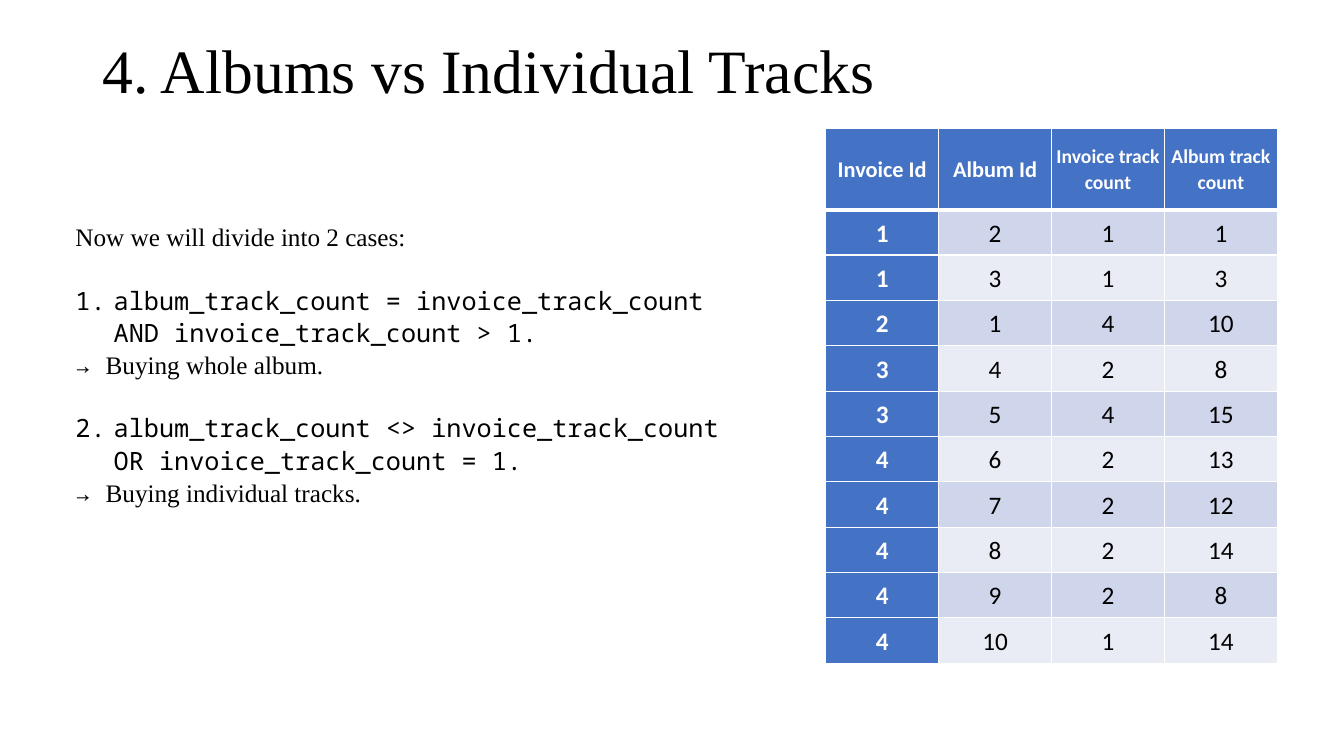
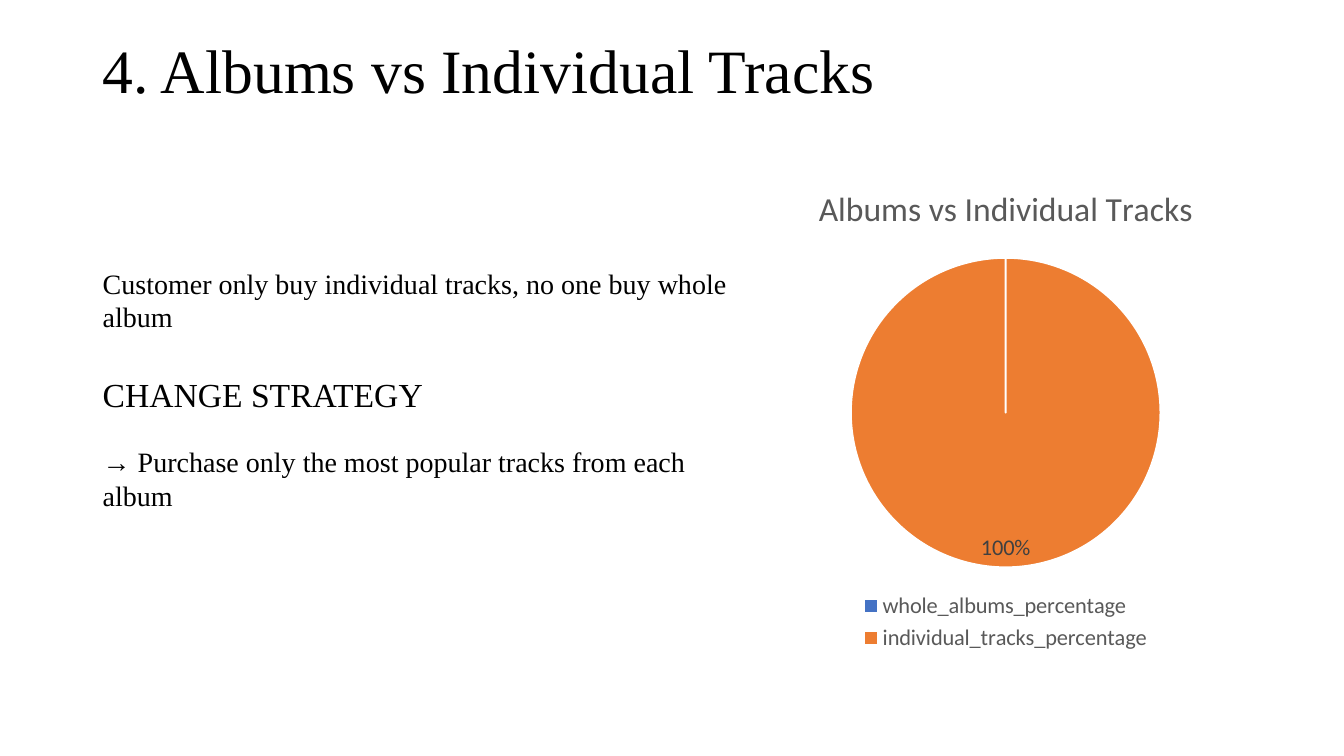
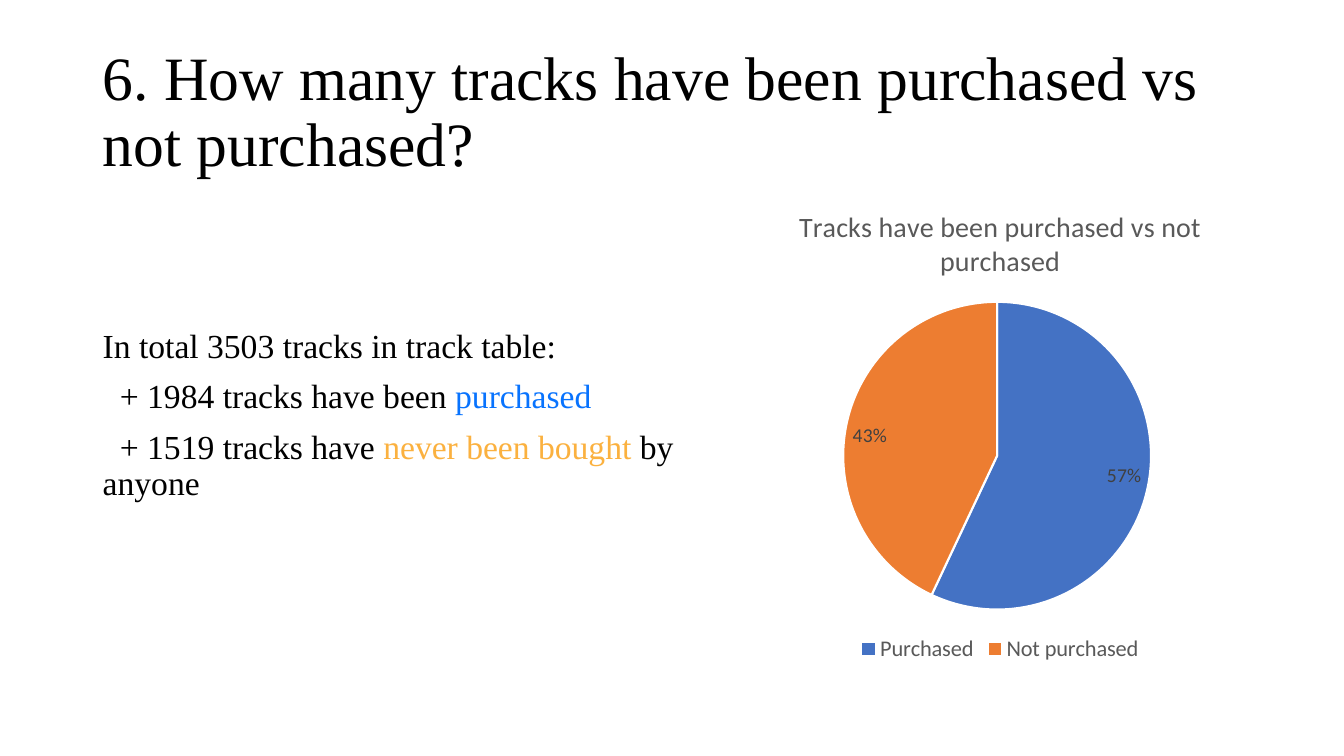
import pptx
import pptx.chart.data
import pptx.dml.color
import pptx.enum.chart
import pptx.enum.text
import pptx.oxml
import pptx.oxml.ns
import pptx.util

Inches, Pt = pptx.util.Inches, pptx.util.Pt
RGB = pptx.dml.color.RGBColor
MIDDLE = pptx.enum.text.MSO_ANCHOR.MIDDLE
CENTER = pptx.enum.text.PP_ALIGN.CENTER

BLACK = RGB(0x00, 0x00, 0x00)
WHITE = RGB(0xFF, 0xFF, 0xFF)
BLUE = RGB(0x44, 0x72, 0xC4)
ORANGE = RGB(0xED, 0x7D, 0x31)
DARK_BAND = RGB(0xCF, 0xD5, 0xEA)
PALE_BAND = RGB(0xE9, 0xEB, 0xF5)
GRAY = RGB(0x59, 0x59, 0x59)
DARK_GRAY = RGB(0x40, 0x40, 0x40)
BRIGHT = RGB(0x08, 0x73, 0xFE)
AMBER = RGB(0xFB, 0xB1, 0x3F)

SERIF, MONO, SANS = "Times New Roman", "Noto Sans Mono", "Calibri"

# A run is (text, options); a paragraph is (runs, options).
CASES = [
    ([("Now we will divide into 2 cases:", {})], {}),
    ([("album_track_count = invoice_track_count AND invoice_track_count > 1.",
       {"face": MONO})], {"before": 22, "number": 1}),
    ([("→ ", {"face": MONO}), ("Buying whole album.", {})], {}),
    ([("album_track_count <> invoice_track_count OR invoice_track_count = 1.",
       {"face": MONO})], {"before": 22, "number": 2}),
    ([("→ ", {"face": MONO}), ("Buying individual tracks.", {})], {}),
]
STRATEGY = [
    ([("Customer only buy individual tracks, no one buy whole album", {})], {}),
    ([("CHANGE STRATEGY", {"size": 24})], {"before": 29}),
    ([("→ Purchase only the most popular tracks from each album", {})],
     {"before": 22}),
]
TOTALS = [
    ([("In total 3503 tracks in track table:", {})], {}),
    ([("+ 1984 tracks have been ", {}), ("purchased", {"color": BRIGHT})],
     {"before": 10, "indent": 0.17}),
    ([("+ 1519 tracks have ", {}), ("never been bought", {"color": AMBER}),
      (" by anyone", {})], {"before": 10, "indent": 0.17}),
]

HEADS = [("Invoice Id", 16), ("Album Id", 16),
         ("Invoice track count", 14), ("Album track count", 14)]
ROWS = [
    (1, 2, 1, 1), (1, 3, 1, 3), (2, 1, 4, 10), (3, 4, 2, 8), (3, 5, 4, 15),
    (4, 6, 2, 13), (4, 7, 2, 12), (4, 8, 2, 14), (4, 9, 2, 8), (4, 10, 1, 14),
]

ALBUM_PIE = {
    "title": "Albums vs Individual Tracks", "size": 24,
    "series": "Albums vs Individual Tracks",
    "shares": {"whole_albums_percentage": 0, "individual_tracks_percentage": 1},
    "label": 16, "show": "show_value", "plot": (0.21, 0.19, 0.58, 0.63),
}
TRACK_PIE = {
    "title": "Tracks have been purchased vs not purchased", "size": 20,
    "series": "Series 1",
    "shares": {"Purchased": 57, "Not purchased": 43},
    "label": 14, "show": "show_percentage", "plot": (0.24, 0.24, 0.51, 0.64),
}


def style(font, size, face, color, bold=False):
    font.size, font.name, font.bold = Pt(size), face, bold
    font.color.rgb = color


def add_run(para, text, size, face=SERIF, color=BLACK, bold=False):
    run = para.add_run()
    run.text = text
    style(run.font, size, face, color, bold)


def set_number(para, start):
    """Number the paragraph from start, with a hanging indent."""
    props = para._p.get_or_add_pPr()
    props.set("marL", str(Inches(0.38)))
    props.set("indent", str(-Inches(0.38)))
    mark = pptx.oxml.parse_xml(
        f'<a:buAutoNum {pptx.oxml.ns.nsdecls("a")} '
        f'type="arabicPeriod" startAt="{start}"/>')
    props.append(mark)


def add_text(slide, box, paras, size, spacing=1.0, anchor=None):
    frame = slide.shapes.add_textbox(*map(Inches, box)).text_frame
    frame.word_wrap = True
    frame.vertical_anchor = anchor
    for i, (runs, opts) in enumerate(paras):
        para = frame.paragraphs[0] if i == 0 else frame.add_paragraph()
        para.line_spacing = spacing
        para.space_before = Pt(opts.get("before", 0))
        if "number" in opts:
            set_number(para, opts["number"])
        if "indent" in opts:
            para._p.get_or_add_pPr().set("indent", str(Inches(opts["indent"])))
        for text, look in runs:
            add_run(para, text, **{"size": size, **look})


def add_slide(deck, title, top=0):
    slide = deck.slides.add_slide(deck.slide_layouts[6])
    add_text(slide, (0.92, top, 11.5, 1.45), [([(title, {})], {})],
             44, 0.9, MIDDLE)
    return slide


def set_borders(cell, bottom):
    """Draw white cell edges, 1 point wide but for the bottom one."""
    props = cell._tc.get_or_add_tcPr()
    for side, width in zip("LRTB", (1, 1, 1, bottom)):
        props.append(pptx.oxml.parse_xml(
            f'<a:ln{side} {pptx.oxml.ns.nsdecls("a")} w="{Pt(width)}">'
            f'<a:solidFill><a:srgbClr val="{WHITE}"/></a:solidFill>'
            f'</a:ln{side}>'))


def fill_cell(cell, text, size, fill, strong, bottom=1):
    set_borders(cell, bottom)
    cell.fill.solid()
    cell.fill.fore_color.rgb = fill
    cell.margin_left = cell.margin_right = 0
    cell.margin_top = cell.margin_bottom = 0
    cell.vertical_anchor = MIDDLE
    para = cell.text_frame.paragraphs[0]
    para.alignment, para.line_spacing = CENTER, 1.07
    add_run(para, text, size, SANS, WHITE if strong else BLACK, strong)


def add_counts(slide):
    table = slide.shapes.add_table(
        len(ROWS) + 1, len(HEADS),
        *map(Inches, (8.19, 1.27, 4.48, 5.29))).table
    for col in table.columns:
        col.width = Inches(1.12)
    for i, row in enumerate(table.rows):
        row.height = Inches(0.45 if i else 0.81)
    for c, (head, size) in enumerate(HEADS):
        fill_cell(table.cell(0, c), head, size, BLUE, True, 3)
    for r, row in enumerate(ROWS, 1):
        band = DARK_BAND if r % 2 else PALE_BAND
        for c, value in enumerate(row):
            first = c == 0
            fill_cell(table.cell(r, c), str(value), 18,
                      BLUE if first else band, first)


def place_plot(chart, plot):
    """Fix the pie's place, given as fractions of the chart."""
    area = chart._chartSpace.chart.plotArea
    for old in area.findall(pptx.oxml.ns.qn("c:layout")):
        area.remove(old)
    parts = "".join(f'<c:{key} val="{val}"/>' for key, val in zip("xywh", plot))
    area.insert(0, pptx.oxml.parse_xml(
        f'<c:layout {pptx.oxml.ns.nsdecls("c")}><c:manualLayout>'
        '<c:layoutTarget val="inner"/><c:xMode val="edge"/>'
        f'<c:yMode val="edge"/>{parts}</c:manualLayout></c:layout>'))


def add_pie(slide, box, pie):
    enum = pptx.enum.chart
    data = pptx.chart.data.CategoryChartData()
    data.categories = list(pie["shares"])
    data.add_series(pie["series"], list(pie["shares"].values()))
    chart = slide.shapes.add_chart(
        enum.XL_CHART_TYPE.PIE, *map(Inches, box), data).chart
    style(chart.font, 10, SANS, BLACK)
    chart.has_title = True
    add_run(chart.chart_title.text_frame.paragraphs[0],
            pie["title"], pie["size"], SANS, GRAY)
    chart.chart_title.include_in_layout = False
    chart.has_legend = True
    chart.legend.position = enum.XL_LEGEND_POSITION.BOTTOM
    chart.legend.include_in_layout = False
    style(chart.legend.font, 16, SANS, GRAY)

    plot = chart.plots[0]
    plot.vary_by_categories = True
    for i, color in enumerate((BLUE, ORANGE)):
        form = plot.series[0].points[i].format
        form.fill.solid()
        form.fill.fore_color.rgb = color
        form.line.color.rgb = WHITE
        form.line.width = Pt(1.5)
    plot.has_data_labels = True
    labels = plot.data_labels
    labels.show_value = labels.show_percentage = False
    setattr(labels, pie["show"], True)
    labels.number_format, labels.number_format_is_linked = "0%;;", False
    labels.position = enum.XL_LABEL_POSITION.INSIDE_END
    style(labels.font, pie["label"], SANS, DARK_GRAY)
    place_plot(chart, pie["plot"])


def main():
    deck = pptx.Presentation()
    deck.slide_width, deck.slide_height = Inches(13.33), Inches(7.5)

    slide = add_slide(deck, "4. Albums vs Individual Tracks")
    add_text(slide, (0.65, 2.13, 6.66, 3), CASES, 18, 1.07)
    add_counts(slide)

    slide = add_slide(deck, "4. Albums vs Individual Tracks")
    add_pie(slide, (7.3, 1.63, 5.35, 4.88), ALBUM_PIE)
    add_text(slide, (0.92, 2.59, 6.66, 2.56), STRATEGY, 20)

    slide = add_slide(
        deck, "6. How many tracks have been purchased vs not purchased?", 0.4)
    add_text(slide, (0.92, 3.22, 5.89, 2.17), TOTALS, 24, 0.9)
    add_pie(slide, (6.92, 1.85, 6, 4.77), TRACK_PIE)

    deck.save("out.pptx")


if __name__ == "__main__":
    main()
